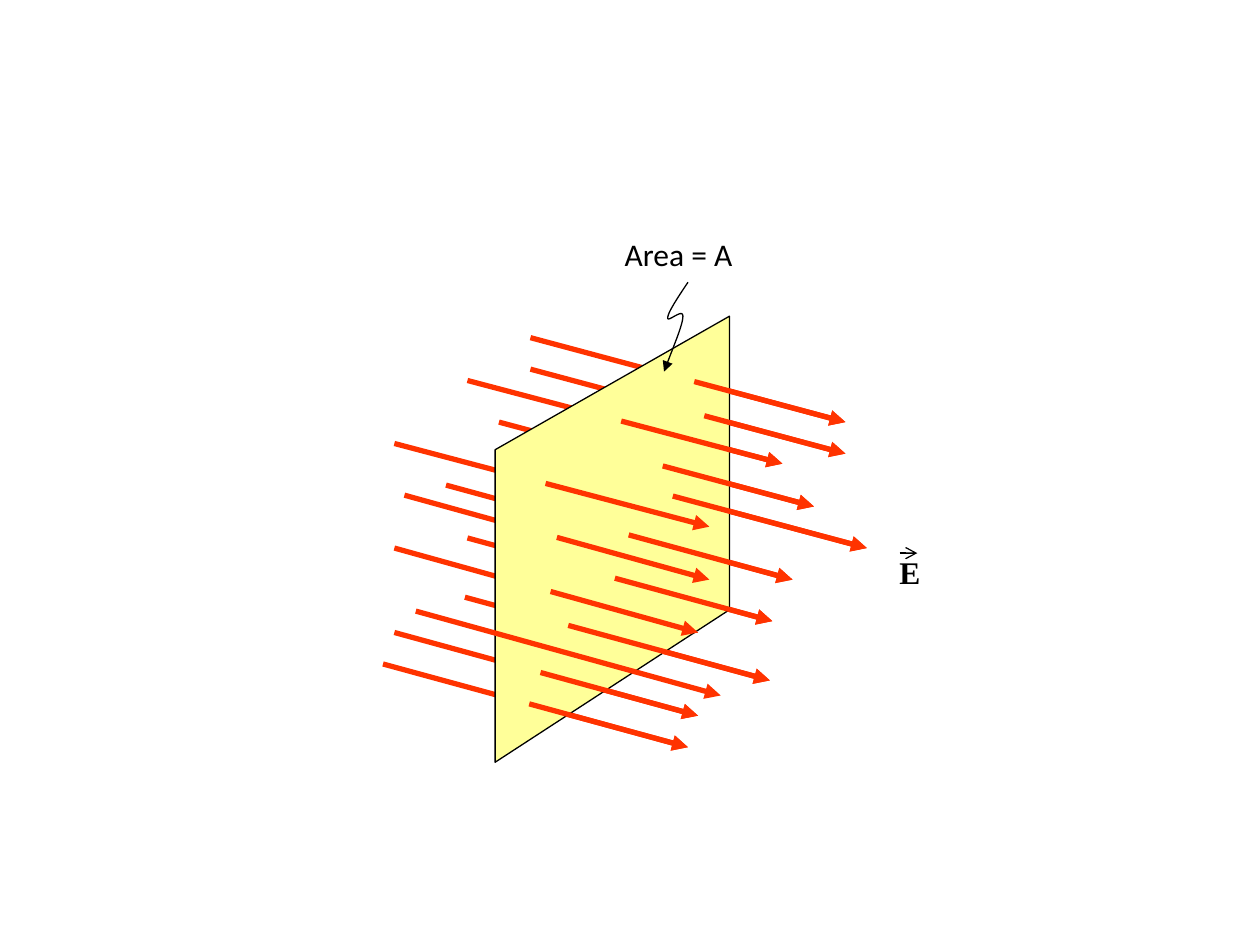
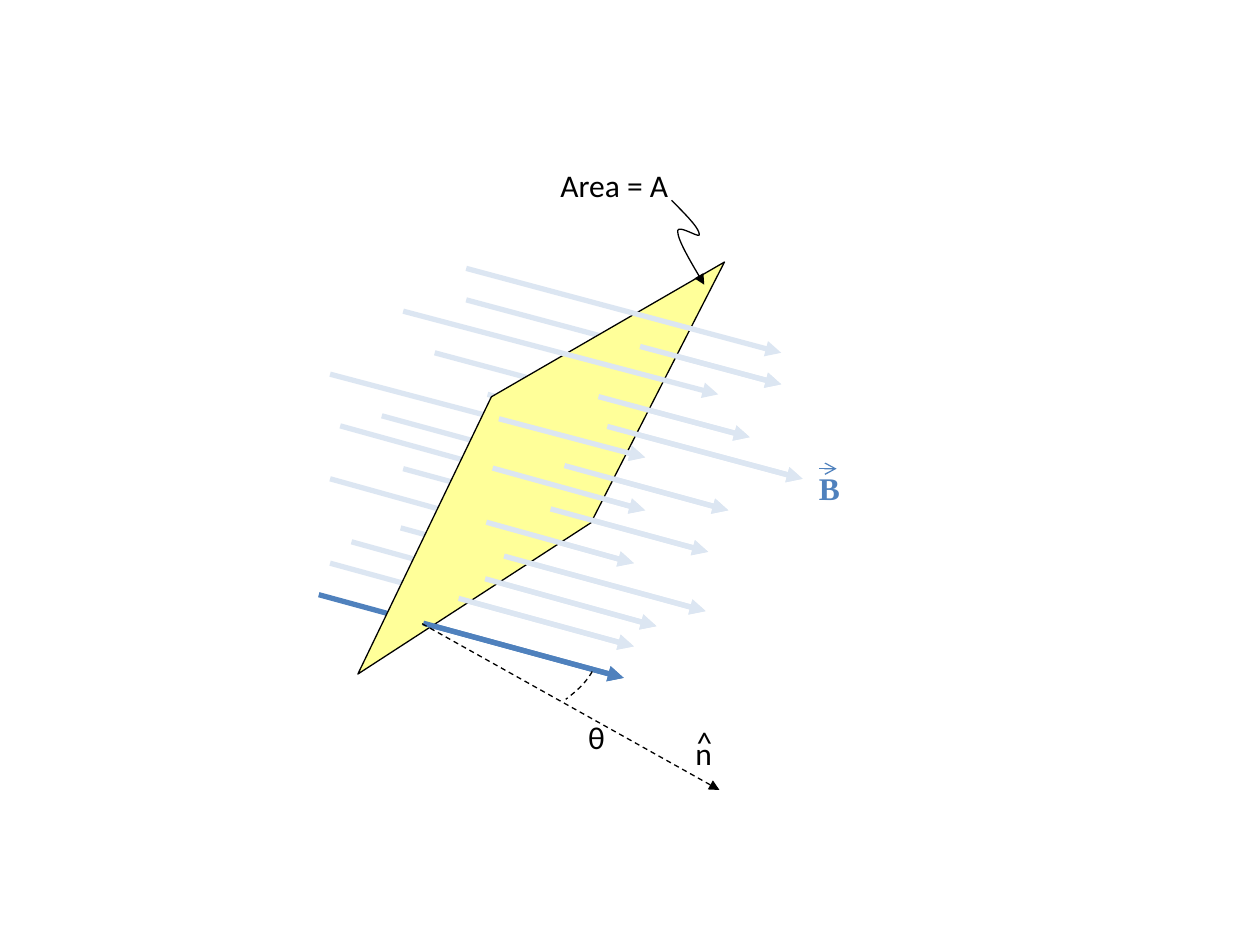
"""Two physics diagrams: a uniform field passing through a flat area."""
from dataclasses import dataclass
from typing import Optional

import pptx
import pptx.dml.color
import pptx.enum.dml
import pptx.enum.shapes
import pptx.enum.text
import pptx.oxml.ns
import pptx.oxml.xmlchemy
import pptx.util

Inches = pptx.util.Inches
Point = tuple[float, float]

BLACK, YELLOW = "000000", "FFFF99"
RED, BLUE, PALE_BLUE = "FF3300", "4F81BD", "DCE6F2"
BODY_FONT, VECTOR_FONT = "Calibri", "Times New Roman"
THIN, THICK = 0.75, 3
TILT_SHIFT = (-0.51, -0.55)  # offset of the field on the tilted-area slide


@dataclass(frozen=True)
class FieldLine:
    """A field line and the x where it leaves the area on each slide.

    Without an exit the whole line passes in front of the area.
    """
    tail: Point
    head: Point
    upright_exit: Optional[float]
    tilted_exit: Optional[float]

    def height_at(self, x: float) -> float:
        """Return y of the line at x."""
        (x0, y0), (x1, y1) = self.tail, self.head
        return y0 + (y1 - y0) * (x - x0) / (x1 - x0)


@dataclass(frozen=True)
class Label:
    """A one-line text with its box."""
    text: str
    left: float
    top: float
    width: float
    font: str = BODY_FONT
    color: str = BLACK
    bold: bool = False


FIELD = [
    FieldLine((3.04, 5.27), (5.46, 5.93), 4.20, 3.36),
    FieldLine((3.13, 5.02), (5.54, 5.68), 4.29, 3.64),
    FieldLine((3.69, 4.74), (6.11, 5.40), 4.51, 4.00),
    FieldLine((3.13, 4.35), (5.54, 5.02), 4.37, 3.86),
    FieldLine((3.71, 4.27), (6.13, 4.93), 4.88, 4.37),
    FieldLine((3.21, 3.93), (5.63, 4.60), 4.42, 3.91),
    FieldLine((3.54, 3.85), (6.29, 4.60), 4.99, 4.48),
    FieldLine((3.13, 3.52), (5.63, 4.18), 4.33, 3.96),
    FieldLine((3.96, 3.35), (6.46, 4.02), 5.26, 4.75),
    FieldLine((4.38, 3.68), (6.88, 4.35), 5.34, 4.82),
    FieldLine((3.71, 3.02), (6.21, 3.68), 4.93, None),
    FieldLine((4.21, 2.93), (6.71, 3.60), 5.59, 5.08),
    FieldLine((4.21, 2.68), (6.71, 3.35), 5.51, None),
    FieldLine((3.30, 4.85), (5.72, 5.52), None, 3.85),
]


def rgb(color: str) -> pptx.dml.color.RGBColor:
    """Turn a hex string into a colour."""
    return pptx.dml.color.RGBColor.from_string(color)


def style_line(shape, color: str, width: float, head: str = "", dashed: bool = False) -> None:
    """Set colour, width, dash and arrowhead of an outline, and drop its shadow."""
    shape.line.color.rgb = rgb(color)
    shape.line.width = pptx.util.Pt(width)
    if dashed:
        shape.line.dash_style = pptx.enum.dml.MSO_LINE.DASH
    properties = shape.element.spPr
    if head:
        outline = properties.find(pptx.oxml.ns.qn("a:ln"))
        arrowhead = pptx.oxml.xmlchemy.OxmlElement("a:tailEnd")
        arrowhead.set("type", head)
        outline.append(arrowhead)
    properties.append(pptx.oxml.xmlchemy.OxmlElement("a:effectLst"))


def add_arrow(slide, start: Point, end: Point, color: str, width: float = THICK,
              head: str = "triangle", dashed: bool = False) -> None:
    """Draw a straight arrow."""
    arrow = slide.shapes.add_connector(
        pptx.enum.shapes.MSO_CONNECTOR.STRAIGHT,
        Inches(start[0]), Inches(start[1]), Inches(end[0]), Inches(end[1]))
    style_line(arrow, color, width, head, dashed)


def add_outline(slide, points: list[Point], closed: bool):
    """Build a freeform through the points."""
    builder = slide.shapes.build_freeform(
        Inches(points[0][0]), Inches(points[0][1]), scale=1.0)
    builder.add_line_segments([(Inches(x), Inches(y)) for x, y in points[1:]], close=closed)
    return builder.convert_to_shape()


def add_area(slide, corners: list[Point]) -> None:
    """Draw the flat yellow area."""
    area = add_outline(slide, corners, closed=True)
    area.fill.solid()
    area.fill.fore_color.rgb = rgb(YELLOW)
    style_line(area, BLACK, THIN)


def add_curve(slide, knots: list[Point], head: str = "", dashed: bool = False,
              steps: int = 16) -> None:
    """Draw a chain of cubic curves; neighbouring curves share an end knot."""
    points = [knots[0]]
    for first in range(0, len(knots) - 1, 3):
        quad = knots[first:first + 4]
        for step in range(1, steps + 1):
            t = step / steps
            weights = ((1 - t) ** 3, 3 * t * (1 - t) ** 2, 3 * t * t * (1 - t), t ** 3)
            points.append((sum(w * x for w, (x, _) in zip(weights, quad)),
                           sum(w * y for w, (_, y) in zip(weights, quad))))
    curve = add_outline(slide, points, closed=False)
    curve.fill.background()
    style_line(curve, BLACK, THIN, head, dashed)


def add_label(slide, label: Label) -> None:
    """Write a label."""
    frame = slide.shapes.add_textbox(Inches(label.left), Inches(label.top),
                                     Inches(label.width), Inches(0.37)).text_frame
    frame.word_wrap = False
    frame.auto_size = pptx.enum.text.MSO_AUTO_SIZE.SHAPE_TO_FIT_TEXT
    paragraph = frame.paragraphs[0]
    paragraph.text = label.text
    paragraph.font.name = label.font
    paragraph.font.size = pptx.util.Pt(18)
    paragraph.font.bold = label.bold
    paragraph.font.color.rgb = rgb(label.color)


def add_vector_label(slide, letter: str, left: float, top: float, color: str) -> None:
    """Write a bold letter with a small arrow over it."""
    add_label(slide, Label(letter, left, top, 0.36, VECTOR_FONT, color, bold=True))
    add_arrow(slide, (left + 0.1, top + 0.05), (left + 0.24, top + 0.05), color, THIN, "arrow")


def add_field_through_area(slide, corners: list[Point], exits: list[Optional[float]],
                           colors: list[str], shift: Point = (0, 0)) -> None:
    """Draw the lines behind the area, the area, then the parts in front of it."""
    def moved(point: Point) -> Point:
        """Shift a point of the field."""
        return point[0] + shift[0], point[1] + shift[1]

    for line, exit_x, color in zip(FIELD, exits, colors):
        if exit_x is not None:
            add_arrow(slide, moved(line.tail), moved(line.head), color)
    add_area(slide, corners)
    for line, exit_x, color in zip(FIELD, exits, colors):
        start = moved(line.tail)
        if exit_x is not None:
            start = (exit_x, line.height_at(exit_x - shift[0]) + shift[1])
        add_arrow(slide, start, moved(line.head), color)


def build_upright_area(slide) -> None:
    """Electric field through an upright area."""
    add_field_through_area(
        slide, [(3.93, 6.05), (3.93, 3.57), (5.79, 2.51), (5.79, 4.84)],
        [line.upright_exit for line in FIELD], [RED] * len(FIELD))
    add_vector_label(slide, "E", 7.04, 4.34, BLACK)
    add_label(slide, Label("Area = A", 4.86, 1.82, 1.07))
    add_curve(slide, [(5.46, 2.24), (5.38, 2.36), (5.30, 2.48), (5.30, 2.52),
                      (5.29, 2.57), (5.42, 2.44), (5.42, 2.51),
                      (5.42, 2.58), (5.34, 2.76), (5.27, 2.95)], "triangle")


def build_tilted_area(slide) -> None:
    """Magnetic field through a tilted area, with its normal and the angle."""
    add_field_through_area(
        slide, [(2.84, 5.35), (3.90, 3.15), (5.75, 2.08), (4.69, 4.15)],
        [line.tilted_exit for line in FIELD],
        [BLUE] + [PALE_BLUE] * (len(FIELD) - 1), TILT_SHIFT)
    add_vector_label(slide, "B", 6.40, 3.67, BLUE)
    add_label(slide, Label("Area = A", 4.35, 1.27, 1.07))
    add_curve(slide, [(5.33, 1.59), (5.44, 1.70), (5.55, 1.81), (5.55, 1.86),
                      (5.56, 1.90), (5.37, 1.77), (5.38, 1.84),
                      (5.38, 1.91), (5.49, 2.09), (5.59, 2.26)], "triangle")
    add_arrow(slide, (3.35, 4.95), (5.71, 6.27), BLACK, THIN, dashed=True)
    add_curve(slide, [(4.70, 5.33), (4.65, 5.42), (4.57, 5.49), (4.49, 5.55)], dashed=True)
    for label in (Label("θ", 4.57, 5.65, 0.33),
                  Label("n", 5.42, 5.78, 0.32),
                  Label("^", 5.43, 5.69, 0.31)):
        add_label(slide, label)


def main() -> None:
    """Build and save the presentation."""
    deck = pptx.Presentation()
    deck.slide_width, deck.slide_height = Inches(10), Inches(7.5)
    for build in (build_upright_area, build_tilted_area):
        build(deck.slides.add_slide(deck.slide_layouts[6]))
    deck.save("out.pptx")


main()
